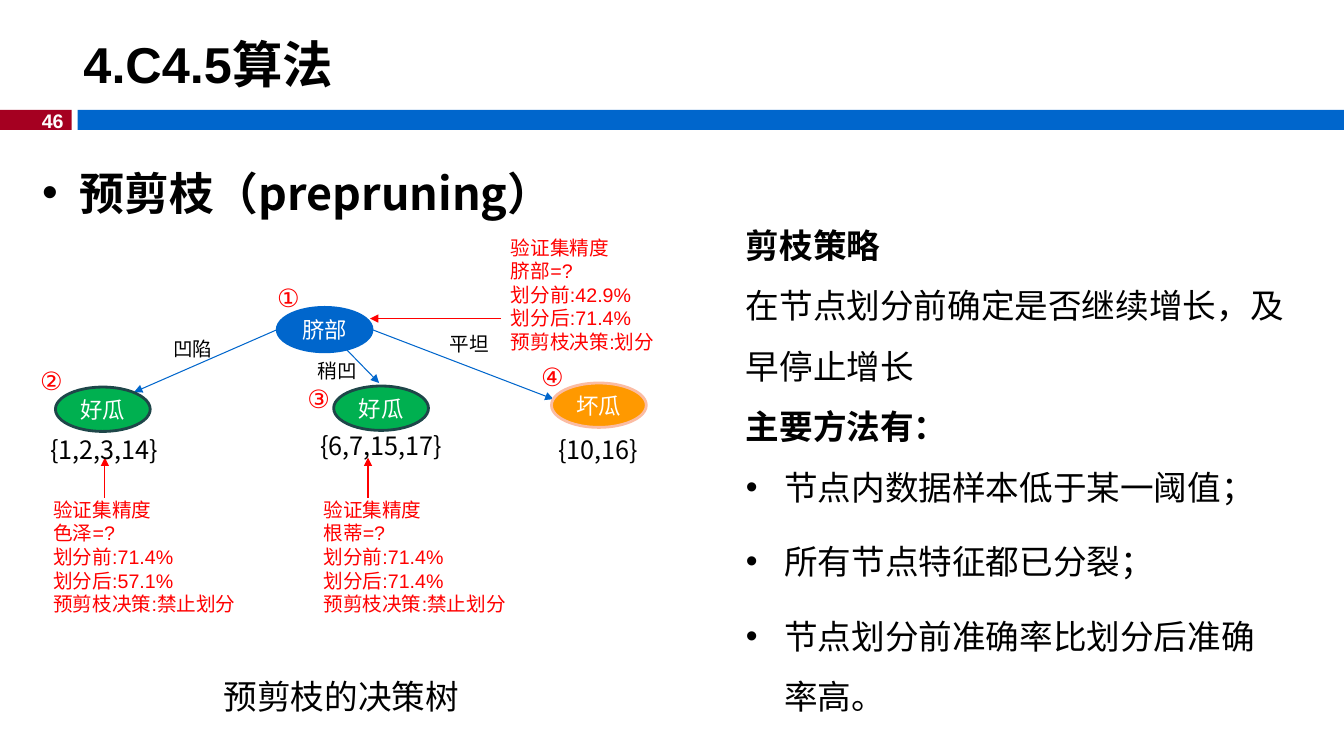
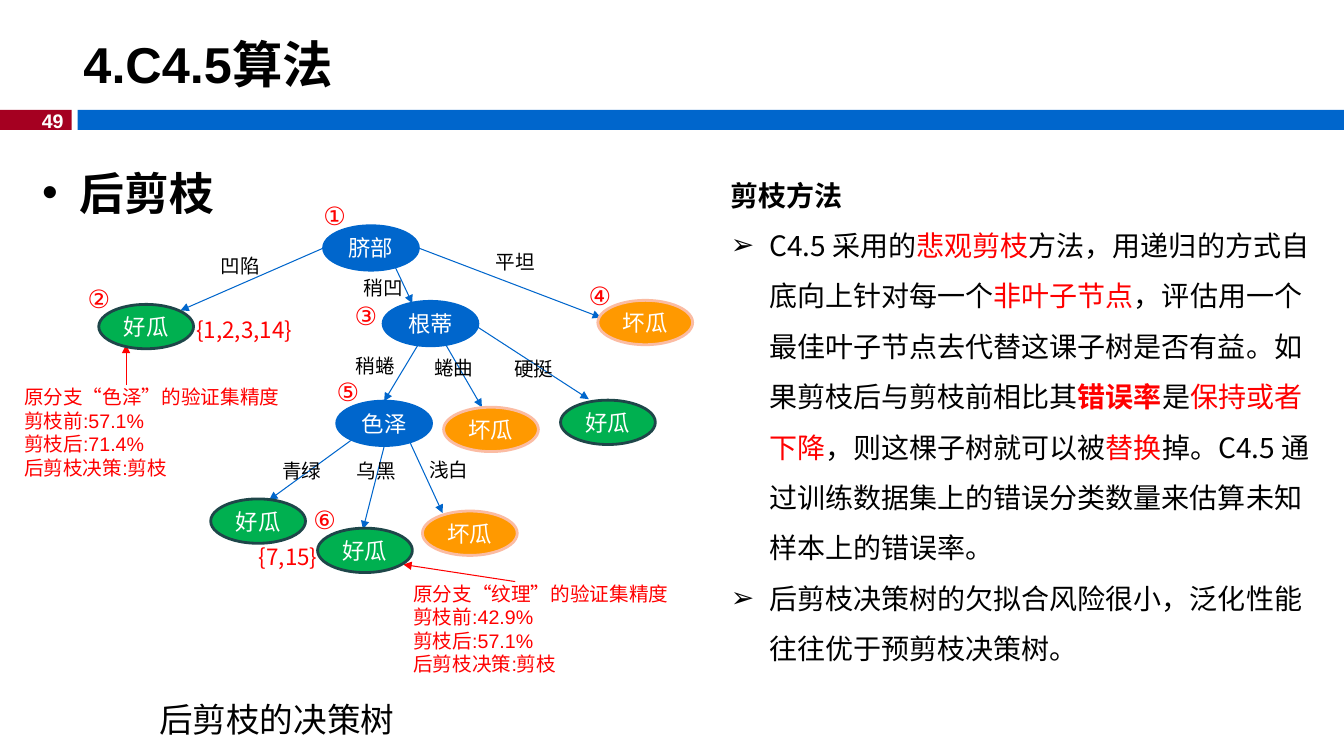
from lxml import etree
from pptx import Presentation
from pptx import util as u
from pptx.dml.color import RGBColor
from pptx.enum import shapes, text
from pptx.oxml import ns

BLUE = RGBColor(0x00, 0x66, 0xCC)
CRIMSON = RGBColor(0xA5, 0x00, 0x21)
RED = RGBColor(0xFF, 0x00, 0x00)
BLACK = RGBColor(0x00, 0x00, 0x00)
WHITE = RGBColor(0xFF, 0xFF, 0xFF)
GREEN = RGBColor(0x00, 0xB0, 0x50)
DARK_GREEN = RGBColor(0x1E, 0x46, 0x49)
ORANGE = RGBColor(0xFF, 0x99, 0x00)
PEACH = RGBColor(0xFB, 0xBC, 0xA3)

LATIN = "Arial"
HAN = "Noto Sans CJK SC"
NODE_SIZE = (0.94, 0.44)
NODE_STYLES = {
    "split": (BLUE, BLUE),
    "好瓜": (GREEN, DARK_GREEN),
    "坏瓜": (ORANGE, PEACH),
}


def inches(*lengths):
    return [u.Inches(length) for length in lengths]


def add_span(para, words, size, color=BLACK, name=LATIN, bold=False):
    span = para.add_run()
    span.text = words
    font = span.font
    for key, value in {"size": u.Pt(size), "name": name, "bold": bold}.items():
        setattr(font, key, value)
    font.color.rgb = color
    east = etree.SubElement(span._r.get_or_add_rPr(), ns.qn("a:ea"))
    east.set("typeface", HAN)


def set_bullet(para, mark, indent):
    props = para._p.get_or_add_pPr()
    props.set("marL", str(u.Inches(indent)))
    props.set("indent", str(-u.Inches(indent)))
    font = etree.SubElement(props, ns.qn("a:buFont"))
    font.set("typeface", LATIN)
    bullet = etree.SubElement(props, ns.qn("a:buChar"))
    bullet.set("char", mark)


def add_text(page, box, lines, size, wrap=True, align=None, anchor=None, **look):
    frame = page.shapes.add_textbox(*inches(*box)).text_frame
    frame.word_wrap = wrap
    frame.vertical_anchor = anchor
    for index, line in enumerate(lines):
        para = frame.paragraphs[0] if index == 0 else frame.add_paragraph()
        para.alignment = align
        add_span(para, line, size, **look)
    return frame


def add_filled(page, kind, box, fill, line=None):
    shape = page.shapes.add_shape(kind, *inches(*box))
    shape.shadow.inherit = False
    shape.fill.solid()
    shape.fill.fore_color.rgb = fill
    if line is None:
        shape.line.fill.background()
    else:
        shape.line.color.rgb = line
        shape.line.width = u.Pt(2)
    return shape


def add_arrow(page, start, end, color):
    arrow = page.shapes.add_connector(
        shapes.MSO_CONNECTOR.STRAIGHT, *inches(*start, *end))
    arrow.line.color.rgb = color
    arrow.line.width = u.Pt(0.75)
    head = etree.SubElement(arrow.line._get_or_add_ln(), ns.qn("a:tailEnd"))
    head.set("type", "triangle")
    etree.SubElement(arrow._element.spPr, ns.qn("a:effectLst"))


def add_node(page, left, top, name):
    fill, line = NODE_STYLES.get(name, NODE_STYLES["split"])
    node = add_filled(page, shapes.MSO_SHAPE.OVAL, (left, top, *NODE_SIZE), fill, line)
    frame = node.text_frame
    for side in ("left", "right", "top", "bottom"):
        setattr(frame, "margin_" + side, 0)
    frame.vertical_anchor = text.MSO_ANCHOR.MIDDLE
    frame.word_wrap = False
    para = frame.paragraphs[0]
    para.alignment = text.PP_ALIGN.CENTER
    add_span(para, name, 16, WHITE)


def add_frame(deck, number, heading):
    page = deck.slides.add_slide(deck.slide_layouts[6])
    for left, width, color in ((0, 0.71, CRIMSON), (0.77, 12.56, BLUE)):
        add_filled(page, shapes.MSO_SHAPE.RECTANGLE, (left, 1.09, width, 0.2), color)
    add_text(page, (0.29, 1.03, 0.44, 0.34), [number], 14, wrap=False,
             align=text.PP_ALIGN.RIGHT, color=WHITE, bold=True)
    add_text(page, (0.73, 0.26, 12.6, 0.74), ["4.C4.5算法"], 36,
             anchor=text.MSO_ANCHOR.MIDDLE, bold=True)
    frame = add_text(page, (0.32, 1.59, 12.6, 0.74), [heading], 32, name=HAN, bold=True)
    set_bullet(frame.paragraphs[0], "•", 0.37)
    return page


def add_tree(page, left, top, tree):
    def place(x, y):
        return left + x, top + y

    for color, arrows in ((BLUE, tree["branches"]), (RED, tree["pointers"])):
        for x1, y1, x2, y2 in arrows:
            add_arrow(page, place(x1, y1), place(x2, y2), color)
    for x, y, name in tree["nodes"]:
        add_node(page, *place(x, y), name)
    for x, y, label in tree["labels"]:
        add_text(page, (*place(x, y), 0.7, 0.34), [label], 14)
    for x, y, mark in tree["marks"]:
        add_text(page, (*place(x, y), 0.7, 0.4), [mark], 18, color=RED)
    size, color = tree["sample_style"]
    for x, y, samples in tree["samples"]:
        add_text(page, (*place(x, y), 1.92, 0.4), [samples], size, color=color, name=HAN)
    for x, y, width, lines in tree["notes"]:
        add_text(page, (*place(x, y), width, 0.24 * len(lines)), lines, 14, color=RED)
    x, y, caption = tree["caption"]
    add_text(page, (*place(x, y), 6.67, 0.5), [caption], 24)


def add_explanation(page, box, size, paragraphs, mark, after=0):
    frame = add_text(page, box, [], size)
    for index, (kind, spans) in enumerate(paragraphs):
        para = frame.paragraphs[0] if index == 0 else frame.add_paragraph()
        para.line_spacing = 1.5
        if kind == "item":
            para.space_after = u.Pt(after)
            set_bullet(para, mark, 0.38)
        for words, color, bold in spans:
            add_span(para, words, size, color, HAN, bold)


def plain(words):
    return words, BLACK, False


def strong(words):
    return words, BLACK, True


def red(words, bold=False):
    return words, RED, bold


PRE_TREE = {
    "branches": [(2.75, 1.27, 1.33, 1.89), (3.69, 1.27, 5.49, 1.96), (3.06, 1.08, 3.76, 1.8)],
    "pointers": [(4.97, 1.16, 3.67, 1.16), (3.65, 2.94, 3.65, 2.54), (1.04, 2.94, 1.04, 2.54)],
    "nodes": [(5.47, 1.8, "坏瓜"), (2.75, 1.05, "脐部"), (0.55, 1.84, "好瓜"),
              (3.31, 1.83, "好瓜")],
    "labels": [(4.36, 1.24, "平坦"), (1.62, 1.29, "凹陷"), (3.05, 1.51, "稍凹")],
    "marks": [(2.65, 0.75, "①"), (0.3, 1.58, "②"), (2.95, 1.75, "③"), (5.27, 1.54, "④")],
    "sample_style": (18, BLACK),
    "samples": [(0.4, 2.26, "{1,2,3,14}"), (3.08, 2.22, "{6,7,15,17}"), (5.44, 2.26, "{10,16}")],
    "notes": [
        (x, y, width, ["验证集精度", feature + "=?", "划分前:" + before, "划分后:" + after,
                       "预剪枝决策:" + decision])
        for x, y, width, feature, before, after, decision in (
            (4.97, 0.29, 1.67, "脐部", "42.9%", "71.4%", "划分"),
            (3.11, 2.89, 2.14, "根蒂", "71.4%", "71.4%", "禁止划分"),
            (0.43, 2.89, 2.14, "色泽", "71.4%", "57.1%", "禁止划分"))],
    "caption": (2.12, 4.66, "预剪枝的决策树"),
}

POST_TREE = {
    "branches": [(3.21, 0.96, 1.79, 1.58), (4.15, 0.96, 5.96, 1.65), (3.92, 1.15, 4.09, 1.51),
                 (4.37, 1.55, 3.81, 2.48), (4.41, 1.9, 4.78, 2.54), (4.73, 1.74, 5.84, 2.46),
                 (3.81, 2.93, 3.6, 3.75), (3.48, 2.87, 2.67, 3.46), (4.03, 2.81, 4.39, 3.59)],
    "pointers": [(1.25, 2.32, 1.25, 1.92), (5.11, 4.27, 4, 4.1)],
    "nodes": [(3.21, 0.74, "脐部"), (0.98, 1.52, "好瓜"), (3.8, 1.49, "根蒂"),
              (5.93, 1.48, "坏瓜"), (3.34, 2.48, "色泽"), (4.4, 2.54, "坏瓜"),
              (5.56, 2.47, "好瓜"), (2.09, 3.45, "好瓜"), (3.15, 3.74, "好瓜"),
              (4.19, 3.57, "坏瓜")],
    "labels": [(2.09, 0.97, "凹陷"), (3.51, 1.19, "稍凹"), (4.82, 0.93, "平坦"),
               (3.43, 1.96, "稍蜷"), (4.21, 1.98, "蜷曲"), (5, 1.99, "硬挺"),
               (2.7, 3, "青绿"), (3.44, 3, "乌黑"), (4.16, 2.99, "浅白")],
    "marks": [(3.11, 0.44, "①"), (0.77, 1.26, "②"), (3.42, 1.43, "③"),
              (5.74, 1.23, "④"), (3.24, 2.18, "⑤"), (3.01, 3.45, "⑥")],
    "sample_style": (16, RED),
    "samples": [(1.85, 1.59, "{1,2,3,14}"), (2.47, 3.84, "{7,15}")],
    "notes": [
        (x, y, 2.97, ["原分支“" + feature + "”的验证集精度", "剪枝前:" + before,
                      "剪枝后:" + after, "后剪枝决策:剪枝"])
        for x, y, feature, before, after in (
            (0.14, 2.27, "色泽", "57.1%", "71.4%"),
            (4, 4.22, "纹理", "42.9%", "57.1%"))],
    "caption": (1.48, 5.38, "后剪枝的决策树"),
}

PRE_TEXT = [
    ("lead", [strong("剪枝策略")]),
    ("lead", [plain("在节点划分前确定是否继续增长，及早停止增长")]),
    ("lead", [strong("主要方法有：")]),
    ("item", [plain("节点内数据样本低于某一阈值；")]),
    ("item", [plain("所有节点特征都已分裂；")]),
    ("item", [plain("节点划分前准确率比划分后准确率高。")]),
]

POST_TEXT = [
    ("lead", [strong("剪枝方法")]),
    ("item", [
        plain("C4.5 采用的"), red("悲观剪枝"),
        plain("方法，用递归的方式自底向上针对每一个"), red("非叶子节点"),
        plain("，评估用一个最佳叶子节点去代替这课子树是否有益。如果剪枝后与剪枝前相比其"),
        red("错误率", bold=True), plain("是"), red("保持或者下降"),
        plain("，则这棵子树就可以被"), red("替换"),
        plain("掉。C4.5 通过训练数据集上的错误分类数量来估算未知样本上的错误率。")]),
    ("item", [plain("后剪枝决策树的欠拟合风险很小，泛化性能往往优于预剪枝决策树。")]),
]


def main():
    deck = Presentation()
    deck.slide_width, deck.slide_height = inches(13.33, 7.5)

    page = add_frame(deck, "46", "预剪枝（prepruning）")
    add_tree(page, 0, 2, PRE_TREE)
    add_explanation(page, (7.3, 1.98, 5.56, 5.23), 24, PRE_TEXT, "•", after=10)

    page = add_frame(deck, "49", "后剪枝")
    add_tree(page, 0, 1.5, POST_TREE)
    add_explanation(page, (7.15, 1.55, 6.05, 5.15), 20, POST_TEXT, "➢")

    deck.save("out.pptx")


if __name__ == "__main__":
    main()
